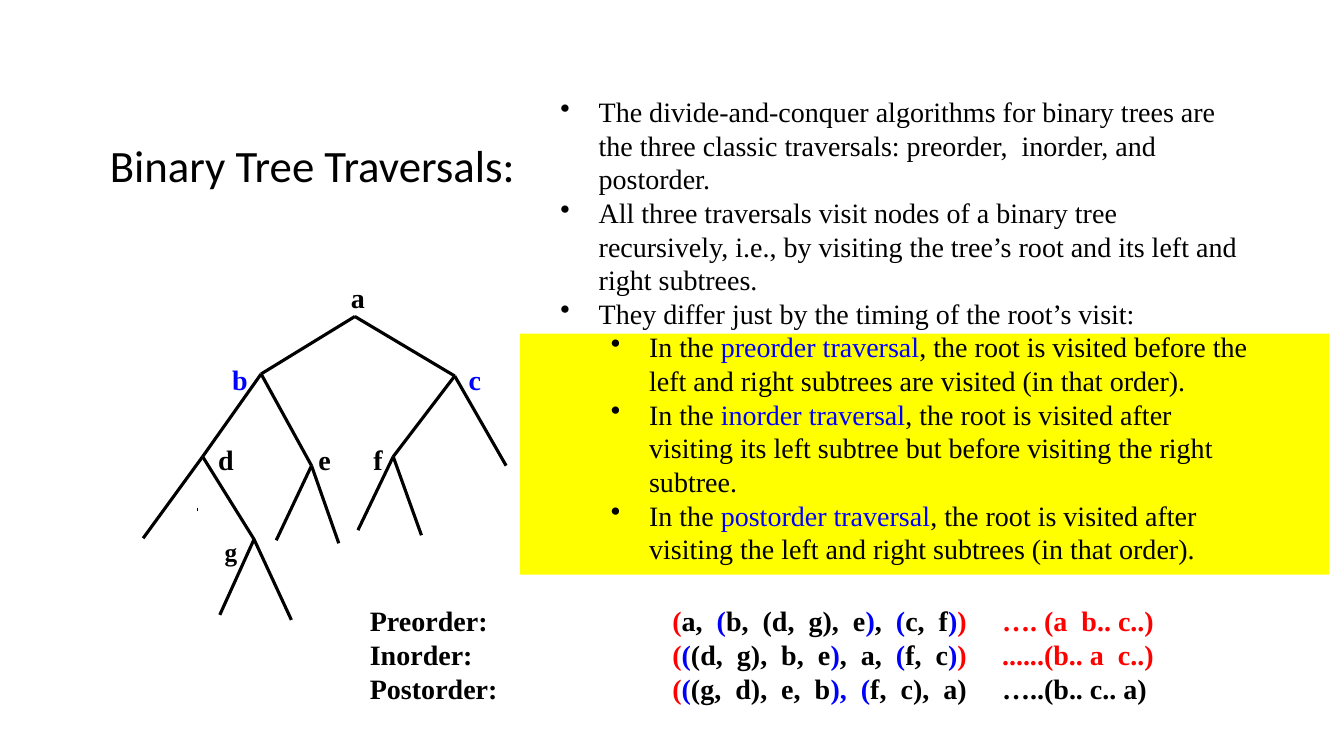
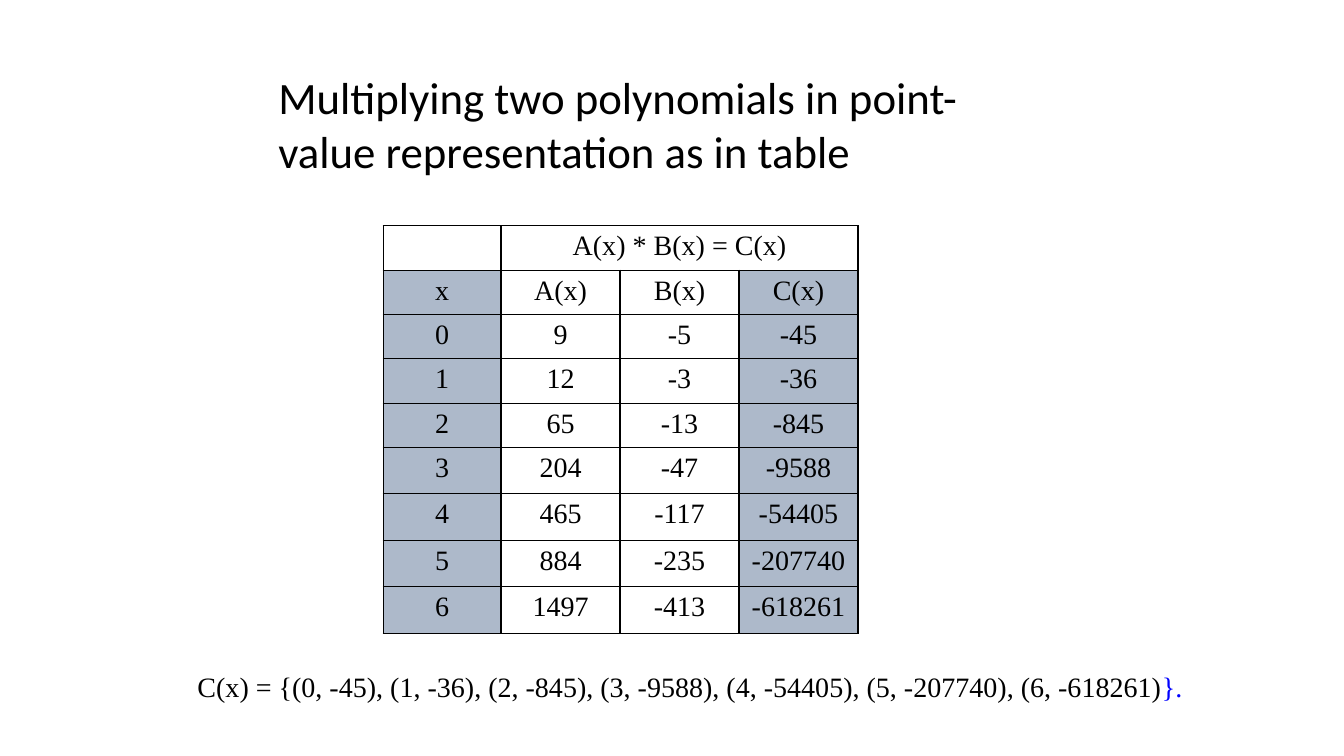
from dataclasses import dataclass
from typing import Any, NamedTuple, Optional

from lxml.etree import SubElement
from pptx import Presentation
from pptx.dml.color import RGBColor
from pptx.enum.shapes import MSO_CONNECTOR as Connector, MSO_SHAPE as Shape
from pptx.enum.text import MSO_ANCHOR as Anchor, MSO_AUTO_SIZE as AutoSize, PP_ALIGN as Align
from pptx.oxml.ns import qn
from pptx.util import Emu, Pt

EMU_PER_PX = 9144
TITLE_ONLY = 5
COLORS = {
    "black": "000000",
    "white": "FFFFFF",
    "blue": "0000FF",
    "red": "FF0000",
    "yellow": "FFFF00",
    "shade": "ADB9CA",
}
TITLE_FONT = {"name": "Calibri", "size": Pt(32), "bold": False}
BODY_FONT = {"name": "Times New Roman", "size": Pt(20), "bold": False}
BOLD_FONT = {**BODY_FONT, "bold": True}
SMALL_BOLD_FONT = {**BOLD_FONT, "size": Pt(18)}
NO_MARGINS = {f"margin_{side}": 0 for side in ("left", "right", "top", "bottom")}


class Box(NamedTuple):
    left: int
    top: int
    width: int
    height: int


class Point(NamedTuple):
    x: int
    y: int


class Piece(NamedTuple):
    text: str
    color: str = "black"


@dataclass(frozen=True)
class Node:
    joint: Point
    label: Point
    children: str = ""
    leaves: tuple[Point, ...] = ()
    color: str = "black"
    font: Optional[dict] = None


@dataclass(frozen=True)
class Bullet:
    pieces: tuple[Piece, ...]
    level: int = 0


TREE = {
    "a": Node(Point(352, 314), Point(355, 295), "bc"),
    "b": Node(Point(259, 371), Point(238, 376), "de", color="blue"),
    "c": Node(Point(451, 373), Point(471, 376), "f", (Point(502, 462),), "blue"),
    "d": Node(Point(201, 453), Point(224, 456), "g", (Point(142, 534),)),
    "e": Node(Point(309, 462), Point(322, 456), leaves=(Point(274, 536), Point(336, 539))),
    "f": Node(Point(390, 453), Point(375, 456), leaves=(Point(355, 526), Point(418, 531))),
    "g": Node(Point(252, 535), Point(229, 547), leaves=(Point(218, 610), Point(289, 615)),
              font=SMALL_BOLD_FONT),
}
LABEL_SIZE = 40
TICK = (Point(196, 507), Point(196, 504))


def traversal_bullet(name: str, timing: str) -> Bullet:
    return Bullet((Piece("In the "), Piece(f"{name} traversal", "blue"),
                   Piece(f", the root is visited {timing}.")), 1)


BULLETS = (
    Bullet((Piece("The divide-and-conquer algorithms for binary trees are the three classic "
                  "traversals: preorder,  inorder, and  postorder."),)),
    Bullet((Piece("All three traversals visit nodes of a binary tree recursively, i.e., by "
                  "visiting the tree’s root and its left and right subtrees."),)),
    Bullet((Piece("They differ just by the timing of the root’s visit:"),)),
    traversal_bullet("preorder", "before the left and right subtrees are visited (in that order)"),
    traversal_bullet("inorder",
                     "after visiting its left subtree but before visiting the right subtree"),
    traversal_bullet("postorder", "after visiting the left and right subtrees (in that order)"),
)
BULLET_INDENT = 38
LEVEL_STEP = 50

ORDERS = (
    (Piece("Preorder:\t"), Piece("(", "red"), Piece("a,  "), Piece("(", "blue"),
     Piece("b,  (d,  g),  e"), Piece(")", "blue"), Piece(",  "), Piece("(", "blue"),
     Piece("c,  f"), Piece(")", "blue"), Piece(")\t…. (a  b.. c..)", "red")),
    (Piece("Inorder:\t"), Piece("(", "red"), Piece("(", "blue"), Piece("(d,  g),  b,  e"),
     Piece(")", "blue"), Piece(",  a,  "), Piece("(", "blue"), Piece("f,  c"),
     Piece(")", "blue"), Piece(")\t......(b.. a  c..)", "red")),
    (Piece("Postorder:\t"), Piece("(", "red"), Piece("(", "blue"), Piece("(g,  d),  e,  b"),
     Piece("),  (", "blue"), Piece("f,  c),  a)\t…..(b.. c.. a)")),
)
ORDER_TABS = (300, 627)

A_VALUES = (9, 12, 65, 204, 465, 884, 1497)
B_VALUES = (-5, -3, -13, -47, -117, -235, -413)
C_VALUES = (-45, -36, -845, -9588, -54405, -207740, -618261)
TABLE_ROWS = [("", "A(x) * B(x) = C(x)", "", ""), ("x", "A(x)", "B(x)", "C(x)"),
              *zip(range(7), A_VALUES, B_VALUES, C_VALUES)]
COLUMN_WIDTHS = (117, 118, 118, 118)
ROW_HEIGHTS = (44,) * 5 + (46,) * 3 + (47,)
SHADED_COLUMNS = (0, 3)


def px(length: int) -> Emu:
    return Emu(length * EMU_PER_PX)


def rgb(color: str) -> RGBColor:
    return RGBColor.from_string(COLORS[color])


def apply_format(target: Any, values: dict) -> None:
    for name, value in values.items():
        setattr(target, name, value)


def place(shape: Any, box: Box) -> None:
    apply_format(shape, {name: px(length) for name, length in box._asdict().items()})


def write(paragraph: Any, pieces: tuple[Piece, ...], font: dict, align: Any = Align.LEFT) -> None:
    paragraph.alignment = align
    for piece in pieces:
        run = paragraph.add_run()
        run.text = piece.text
        apply_format(run.font, font)
        run.font.color.rgb = rgb(piece.color)


def add_title(slide: Any, text: str, box: Box, align: Any, wrap: bool) -> None:
    title = slide.shapes.title
    place(title, box)
    apply_format(title.text_frame, {"word_wrap": wrap, "auto_size": AutoSize.NONE,
                                    "vertical_anchor": Anchor.TOP})
    write(title.text_frame.paragraphs[0], (Piece(text),), TITLE_FONT, align)


def add_text(slide: Any, box: Box, lines: tuple, font: dict, align: Any = Align.LEFT,
             **frame_format: Any) -> list:
    """Add a wrapping text box, one paragraph per line, and return the paragraphs."""
    frame = slide.shapes.add_textbox(*map(px, box)).text_frame
    apply_format(frame, {"word_wrap": True, **frame_format})
    for index, pieces in enumerate(lines):
        paragraph = frame.add_paragraph() if index else frame.paragraphs[0]
        write(paragraph, pieces, font, align)
    return list(frame.paragraphs)


def add_line(slide: Any, start: Point, end: Point, width: float = 2.25) -> None:
    connector = slide.shapes.add_connector(Connector.STRAIGHT, *map(px, start + end))
    connector.line.color.rgb = rgb("black")
    connector.line.width = Pt(width)
    SubElement(connector.element.spPr, qn("a:effectLst"))


def add_tree(slide: Any) -> None:
    for name, node in TREE.items():
        for end in [TREE[child].joint for child in node.children] + list(node.leaves):
            add_line(slide, node.joint, end)
        half = LABEL_SIZE // 2
        box = Box(node.label.x - half, node.label.y - half, LABEL_SIZE, LABEL_SIZE)
        add_text(slide, box, ((Piece(name, node.color),),), node.font or BOLD_FONT,
                 Align.CENTER, vertical_anchor=Anchor.MIDDLE, **NO_MARGINS)
    add_line(slide, *TICK, width=0.75)


def add_bullets(slide: Any, box: Box) -> None:
    paragraphs = add_text(slide, box, tuple(bullet.pieces for bullet in BULLETS), BODY_FONT)
    for paragraph, bullet in zip(paragraphs, BULLETS):
        paragraph.level = bullet.level
        properties = paragraph._p.get_or_add_pPr()
        properties.set("marL", str(px(BULLET_INDENT + LEVEL_STEP * bullet.level)))
        properties.set("indent", str(px(-BULLET_INDENT)))
        SubElement(properties, qn("a:buChar"), char="•")


def add_orders(slide: Any, box: Box) -> None:
    for paragraph in add_text(slide, box, ORDERS, BOLD_FONT, vertical_anchor=Anchor.MIDDLE):
        tabs = SubElement(paragraph._p.get_or_add_pPr(), qn("a:tabLst"))
        for position in ORDER_TABS:
            SubElement(tabs, qn("a:tab"), pos=str(px(position)), algn="l")


def format_cell(cell: Any, text: str, fill: str) -> None:
    properties = cell._tc.get_or_add_tcPr()
    for side in ("lnL", "lnR", "lnT", "lnB"):
        border = SubElement(properties, qn(f"a:{side}"), w=str(Pt(1)))
        SubElement(SubElement(border, qn("a:solidFill")), qn("a:srgbClr"), val=COLORS["black"])
    cell.fill.solid()
    cell.fill.fore_color.rgb = rgb(fill)
    if text:
        write(cell.text_frame.paragraphs[0], (Piece(text),), BODY_FONT, Align.CENTER)


def add_value_table(slide: Any, left: int, top: int) -> None:
    box = Box(left, top, sum(COLUMN_WIDTHS), sum(ROW_HEIGHTS))
    table = slide.shapes.add_table(len(ROW_HEIGHTS), len(COLUMN_WIDTHS), *map(px, box)).table
    apply_format(table, {"first_row": False, "horz_banding": False})
    for column, width in zip(table.columns, COLUMN_WIDTHS):
        column.width = px(width)
    for row, height in zip(table.rows, ROW_HEIGHTS):
        row.height = px(height)
    table.cell(0, 1).merge(table.cell(0, 3))
    for row_index, values in enumerate(TABLE_ROWS):
        for column_index, value in enumerate(values):
            shaded = row_index > 0 and column_index in SHADED_COLUMNS
            format_cell(table.cell(row_index, column_index), str(value),
                        "shade" if shaded else "white")


def build_traversals(slide: Any) -> None:
    add_title(slide, "Binary Tree Traversals:", Box(97, 132, 426, 64), Align.CENTER, False)
    highlight = slide.shapes.add_shape(Shape.RECTANGLE, *map(px, Box(516, 331, 802, 239)))
    highlight.shadow.inherit = False
    highlight.fill.solid()
    highlight.fill.fore_color.rgb = rgb("yellow")
    highlight.line.fill.background()
    add_tree(slide)
    add_bullets(slide, Box(546, 89, 707, 481))
    add_orders(slide, Box(357, 598, 870, 102))


def build_polynomials(slide: Any) -> None:
    add_title(slide, "Multiplying two polynomials in point-value representation as in table",
              Box(266, 64, 699, 118), Align.LEFT, True)
    add_value_table(slide, 380, 224)
    points = ", ".join(f"({x}, {value})" for x, value in enumerate(C_VALUES))
    result = (Piece(f"C(x) = {{{points}"), Piece("}.", "blue"))
    paragraph = add_text(slide, Box(136, 643, 1061, 56), (result,), BODY_FONT)[0]
    paragraph.line_spacing = 1.5
    paragraph._p.get_or_add_pPr().set("indent", str(px(50)))


def main() -> None:
    presentation = Presentation()
    presentation.slide_width, presentation.slide_height = px(1333), px(750)
    for build in (build_traversals, build_polynomials):
        build(presentation.slides.add_slide(presentation.slide_layouts[TITLE_ONLY]))
    presentation.save("out.pptx")


if __name__ == "__main__":
    main()
